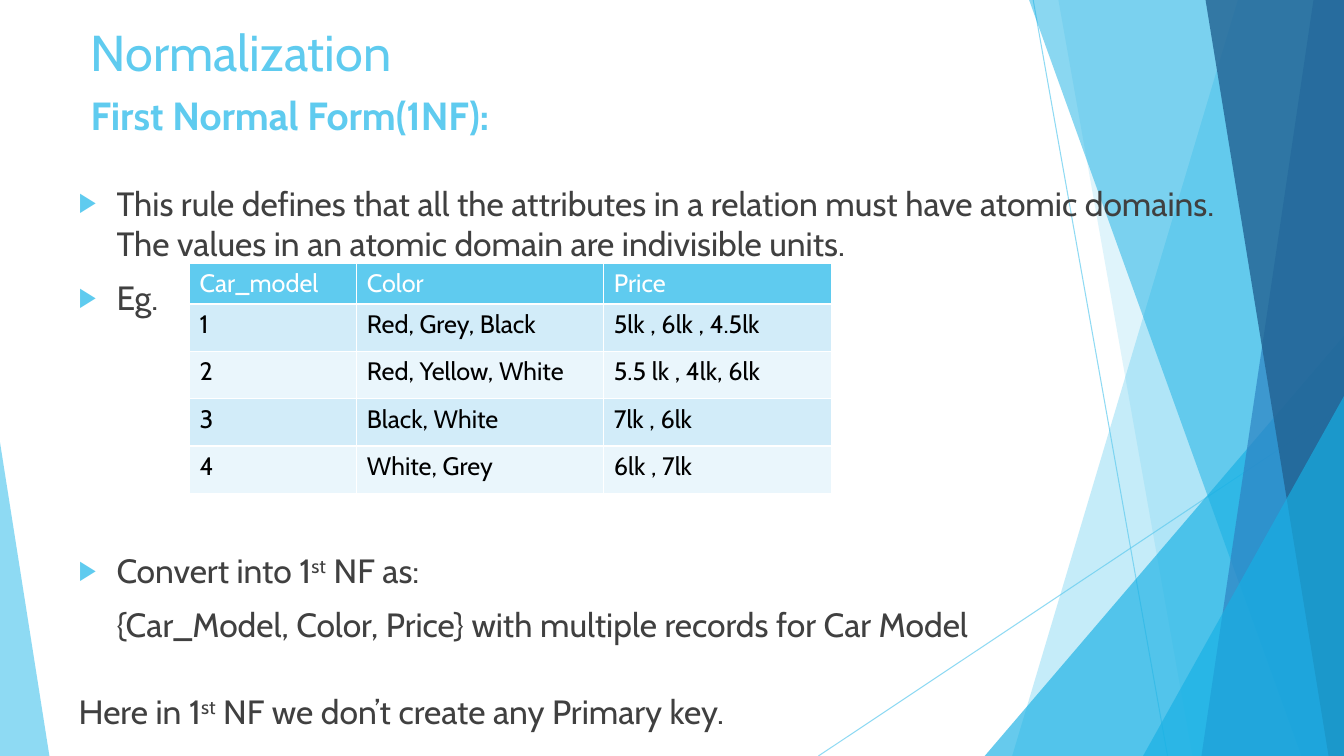
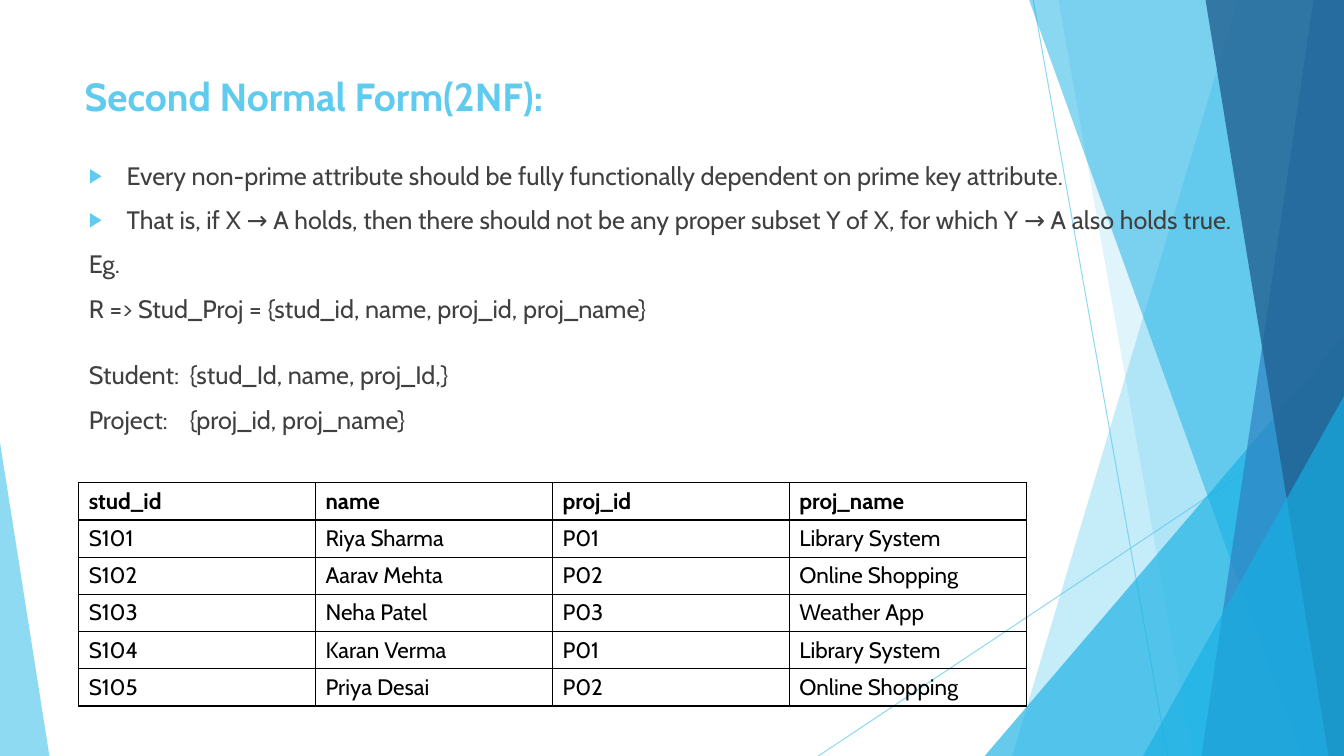
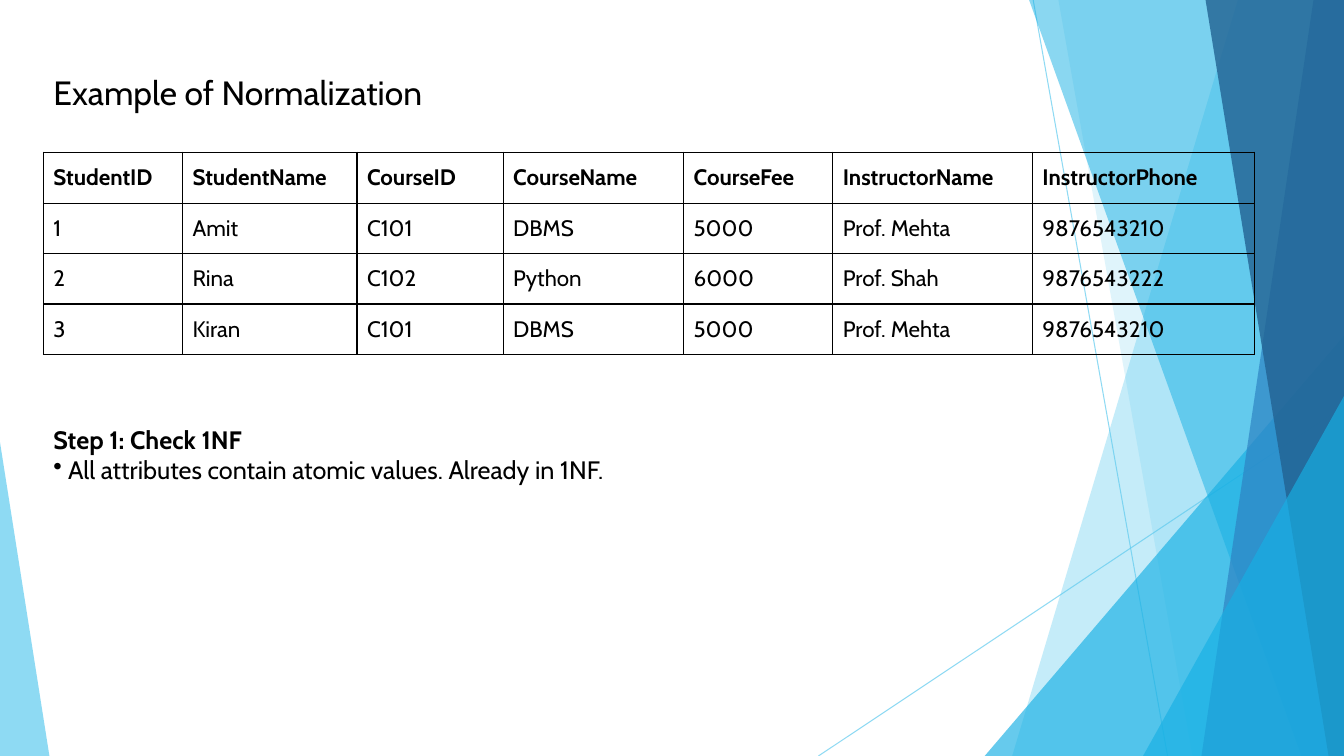
from lxml.etree import SubElement
from pptx import Presentation
from pptx.dml.color import RGBColor
from pptx.enum.shapes import MSO_CONNECTOR, MSO_SHAPE
from pptx.enum.text import MSO_ANCHOR, MSO_AUTO_SIZE, PP_ALIGN
from pptx.oxml.ns import qn
from pptx.util import Pt

WIDTH, HEIGHT = 960, 540
FONT = "Cabin"
SKY, CYAN, BLUE, NAVY = "5FCBEF", "17B0E4", "2E83C3", "226292"
GREY, BLACK, WHITE = "404040", "000000", "FFFFFF"
BANDING = ("D2ECF9", "EAF6FC")

RAYS = [((738, 0), (834, HEIGHT)), ((WIDTH, 290), (584.6, HEIGHT))]
FACETS = [
    ("band", (884.2, 723), SKY, 36),
    ("band", (756, 851.8), SKY, 20),
    ("corner", (703.4, 239.8, 256.6, 300.2, 1), CYAN, 66),
    ("band", (735.1, 929.5), CYAN, 50),
    ("band", (938.2, 858.2), BLUE, 70),
    ("band", (861.1, 949), NAVY, 80),
    ("corner", (816.5, 283, 143.5, 257, 1), CYAN, 66),
    ("corner", (0, 316, 35.3, 224, 0), SKY, 70),
]


def rgb(value):
    """Turn a hex string into a colour."""
    return RGBColor.from_string(value)


def points(*lengths):
    """Turn numbers of points into lengths."""
    return [Pt(length) for length in lengths]


def set_opacity(shape, percent):
    """Make the solid colour of a shape or line translucent."""
    for tint in shape.element.xpath(".//a:solidFill/a:srgbClr"):
        SubElement(tint, qn("a:alpha")).set("val", str(percent * 1000))


def write(paragraph, text, size=18, color=BLACK, bold=False, align=PP_ALIGN.LEFT,
          before=0, left=0, bullet=None, bullet_color=SKY, bullet_size=80, tab=None):
    """Fill a paragraph with formatted text; text between carets is superscript."""
    props = paragraph._p.get_or_add_pPr()
    props.set("marL", str(Pt(left)))
    props.set("indent", str(Pt(-left) if bullet else 0))
    if bullet:
        tint = SubElement(props, qn("a:buClr"))
        SubElement(tint, qn("a:srgbClr")).set("val", bullet_color)
        SubElement(props, qn("a:buSzPct")).set("val", str(bullet_size * 1000))
        SubElement(props, qn("a:buChar")).set("char", bullet)
    else:
        SubElement(props, qn("a:buNone"))
    if tab:
        stop = SubElement(SubElement(props, qn("a:tabLst")), qn("a:tab"))
        stop.set("pos", str(Pt(tab)))
        stop.set("algn", "l")
    paragraph.alignment = align
    paragraph.space_before = Pt(before)
    for position, piece in enumerate(text.split("^")):
        run = paragraph.add_run()
        run.text = piece
        run.font.name, run.font.size, run.font.bold = FONT, Pt(size), bold
        run.font.color.rgb = rgb(color)
        if position % 2:
            run._r.get_or_add_rPr().set("baseline", "30000")


class Deck:
    """Hold the shared style and the slide being built."""

    def __init__(self):
        """Start an empty widescreen deck."""
        self.show = Presentation()
        self.show.slide_width, self.show.slide_height = points(WIDTH, HEIGHT)
        self.slide = None

    def new_slide(self, layout):
        """Add a slide, and the backdrop of the master with the first one."""
        first = self.slide is None
        self.slide = self.show.slides.add_slide(self.show.slide_layouts[layout])
        if first:
            self.backdrop()

    def backdrop(self):
        """Draw the translucent facets and move them to the master."""
        group = self.slide.shapes.add_group_shape()
        for start, end in RAYS:
            ray = group.shapes.add_connector(MSO_CONNECTOR.STRAIGHT, *points(*start, *end))
            ray.line.color.rgb = rgb(SKY)
            ray.line.width = Pt(0.75)
            SubElement(ray.element.spPr, qn("a:effectLst"))
            set_opacity(ray, 70)
        for kind, place, color, opacity in FACETS:
            facet = getattr(self, kind)(group, *place)
            facet.shadow.inherit = False
            facet.fill.solid()
            facet.fill.fore_color.rgb = rgb(color)
            facet.line.fill.background()
            set_opacity(facet, opacity)
        for number, props in enumerate(group.element.xpath(".//p:cNvPr"), 100):
            props.set("id", str(number))
        self.show.slide_master.shapes.element.insert(2, group.element)

    def band(self, group, top, bottom):
        """Draw a band from a slanted left edge to the right slide edge."""
        outline = group.shapes.build_freeform(*points(top, 0), scale=1.0)
        corners = [(WIDTH, 0), (WIDTH, HEIGHT), (bottom, HEIGHT)]
        outline.add_line_segments([points(*corner) for corner in corners], close=True)
        return outline.convert_to_shape()

    def corner(self, group, left, top, width, height, apex):
        """Draw a right-angled triangle on the lower slide edge."""
        triangle = group.shapes.add_shape(
            MSO_SHAPE.ISOSCELES_TRIANGLE, *points(left, top, width, height))
        triangle.adjustments[0] = apex
        return triangle

    def fill_frame(self, holder, box, lines, **style):
        """Place a text holder and write its (text, format) lines."""
        holder.left, holder.top, holder.width, holder.height = points(*box)
        frame = holder.text_frame
        frame.word_wrap = True
        frame.auto_size = MSO_AUTO_SIZE.NONE
        frame.vertical_anchor = MSO_ANCHOR.TOP
        for number, (text, extra) in enumerate(lines):
            paragraph = frame.add_paragraph() if number else frame.paragraphs[0]
            options = {**style, **extra}
            if not number:
                options["before"] = 0
            write(paragraph, text, **options)

    def title(self, text, box, **style):
        """Write the slide title."""
        self.fill_frame(self.slide.shapes.title, box, [(text, {})], **style)

    def body(self, lines, box, **style):
        """Write the list of the slide."""
        self.fill_frame(self.slide.placeholders[1], box, lines,
                        color=GREY, before=10, **style)

    def text(self, lines, box, **style):
        """Add a free text box."""
        self.fill_frame(self.slide.shapes.add_textbox(*points(*box)), box, lines, **style)

    def table(self, records, place, widths, heights, size=16, border=BLACK, banded=False):
        """Add a table, either ruled in black or banded in blue."""
        shape = self.slide.shapes.add_table(
            len(records), len(widths), *points(*place, sum(widths), sum(heights)))
        grid = shape.table
        grid.horz_banding = False
        for column, width in zip(grid.columns, widths):
            column.width = Pt(width)
        for row, height in zip(grid.rows, heights):
            row.height = Pt(height)
        for r, record in enumerate(records):
            for c, value in enumerate(record):
                cell = grid.cell(r, c)
                self.rule(cell, border)
                header = r == 0
                if banded:
                    cell.fill.solid()
                    cell.fill.fore_color.rgb = rgb(SKY if header else BANDING[(r - 1) % 2])
                else:
                    cell.fill.background()
                cell.vertical_anchor = MSO_ANCHOR.TOP if banded else MSO_ANCHOR.MIDDLE
                write(cell.text_frame.paragraphs[0], value, size=size,
                      color=WHITE if banded and header else BLACK,
                      bold=header and not banded)

    def rule(self, cell, color):
        """Draw the four borders of a cell."""
        props = cell._tc.get_or_add_tcPr()
        for side in ("lnL", "lnR", "lnT", "lnB"):
            edge = SubElement(props, qn(f"a:{side}"))
            edge.set("w", str(Pt(1)))
            SubElement(SubElement(edge, qn("a:solidFill")), qn("a:srgbClr")).set("val", color)


def main():
    """Build the three slides on normalization."""
    deck = Deck()
    heading = {"size": 28, "color": SKY, "bold": True}
    point = {"bullet": "▶", "left": 27}

    deck.new_slide(1)
    deck.title("Normalization", (57.6, 11.5, 648, 50.4), size=36, color=SKY)
    deck.body([
        ("This rule defines that all the attributes in a relation must have atomic domains. "
         "The values in an atomic domain are indivisible units.", point),
        ("Eg.", point),
        ("Convert into 1^st^ NF as:", {**point, "before": 166}),
        ("{Car_Model, Color, Price} with multiple records for Car Model", {"left": 27}),
        ("Here in 1^st^ NF we don’t create any Primary key.", {"before": 33.4}),
    ], (49, 126.7, 861.8, 391), size=24)
    deck.table([
        ("Car_model", "Color", "Price"),
        ("1", "Red, Grey, Black", "5lk , 6lk , 4.5lk"),
        ("2", "Red, Yellow, White", "5.5 lk , 4lk, 6lk"),
        ("3", "Black, White", "7lk , 6lk"),
        ("4", "White, Grey", "6lk , 7lk"),
    ], (135.4, 188), (119.5, 176.4, 162.7), [28] + [33.8] * 4,
        size=18, border=WHITE, banded=True)
    deck.text([("First Normal Form(1NF):", {})], (57.6, 62, 676.8, 97.2), **heading)

    deck.new_slide(1)
    deck.title("Second Normal Form(2NF):", (53.3, 48.2, 676.8, 103.7), **heading)
    deck.body([
        ("Every non-prime attribute should be fully functionally dependent "
         "on prime key attribute.", point),
        ("That is, if X → A holds, then there should not be any proper subset Y of X, "
         "for which Y → A also holds true.", point),
        ("Eg.", {}),
        ("R => Stud_Proj = {stud_id, name, proj_id, proj_name}", {}),
        ("Student:\t{stud_Id, name, proj_Id,}", {"before": 26, "tab": 81}),
        ("Project:\t{proj_id, proj_name}", {"tab": 77}),
    ], (56.2, 110.9, 831.6, 407.5), size=18, align=PP_ALIGN.JUSTIFY)
    deck.table([
        ("stud_id", "name", "proj_id", "proj_name"),
        ("S101", "Riya Sharma", "P01", "Library System"),
        ("S102", "Aarav Mehta", "P02", "Online Shopping"),
        ("S103", "Neha Patel", "P03", "Weather App"),
        ("S104", "Karan Verma", "P01", "Library System"),
        ("S105", "Priya Desai", "P02", "Online Shopping"),
    ], (56.2, 344.9), [169.2] * 4, [26.4] * 6)

    deck.new_slide(5)
    deck.title("Example of Normalization", (31, 47.5, 480, 36), size=24)
    deck.table([
        ("StudentID", "StudentName", "CourseID", "CourseName", "CourseFee",
         "InstructorName", "InstructorPhone"),
        ("1", "Amit", "C101", "DBMS", "5000", "Prof. Mehta", "9876543210"),
        ("2", "Rina", "C102", "Python", "6000", "Prof. Shah", "9876543222"),
        ("3", "Kiran", "C101", "DBMS", "5000", "Prof. Mehta", "9876543210"),
    ], (31, 108.7), (99.4, 124.6, 104.4, 128.9, 106.6, 142.6, 158.4), [36.5] + [36] * 3)
    deck.text([
        ("Step 1: Check 1NF", {"bold": True}),
        ("All attributes contain atomic values. Already in 1NF.",
         {"bullet": "•", "left": 10.5, "bullet_color": BLACK, "bullet_size": 100}),
    ], (31, 299.5, 480, 51), size=18)

    deck.show.save("out.pptx")


if __name__ == "__main__":
    main()
